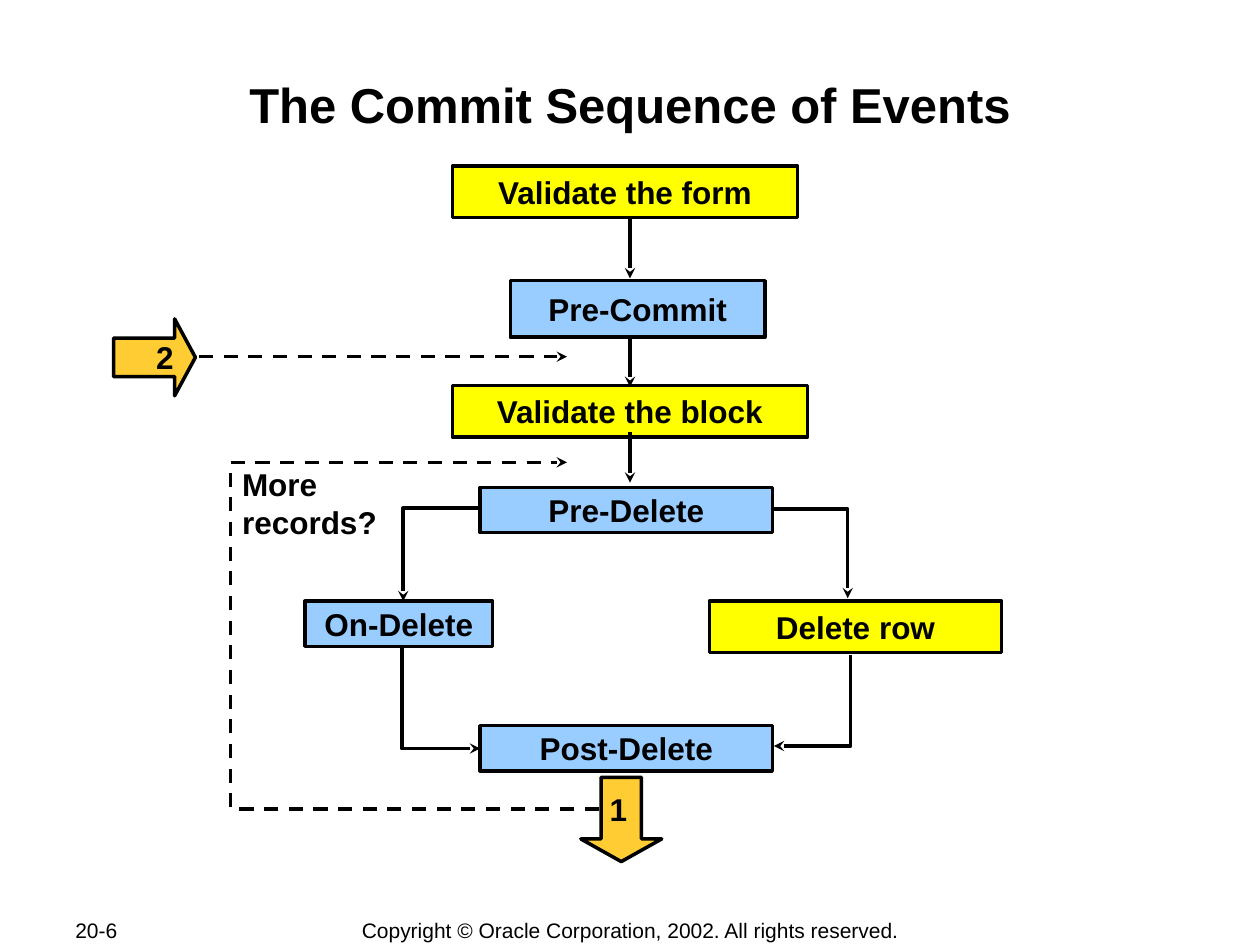
from lxml import etree
from pptx import Presentation
from pptx.dml.color import RGBColor
from pptx.enum.dml import MSO_LINE
from pptx.enum.shapes import MSO_CONNECTOR, MSO_SHAPE
from pptx.enum.text import MSO_ANCHOR, PP_ALIGN
from pptx.oxml.ns import qn
from pptx.util import Cm, Pt

RECTANGLE, RIGHT_ARROW, DOWN_ARROW = MSO_SHAPE.RECTANGLE, MSO_SHAPE.RIGHT_ARROW, MSO_SHAPE.DOWN_ARROW
STRAIGHT = MSO_CONNECTOR.STRAIGHT
DASH = MSO_LINE.DASH
LEFT, CENTER = PP_ALIGN.LEFT, PP_ALIGN.CENTER
TOP, MIDDLE = MSO_ANCHOR.TOP, MSO_ANCHOR.MIDDLE

COLORS = {"ink": "000000", "task": "FFFF00", "trigger": "99CCFF", "marker": "FFCC33"}
INK = RGBColor.from_string(COLORS["ink"])


def write(shape, text, size, bold, align, anchor):
    frame = shape.text_frame
    frame.word_wrap = True
    frame.vertical_anchor = anchor
    frame.margin_left = frame.margin_right = frame.margin_top = frame.margin_bottom = 0
    frame.text = text
    paragraph = frame.paragraphs[0]
    paragraph.alignment = align
    for run in paragraph.runs:
        run.font.name = "Arial"
        run.font.size = Pt(size)
        run.font.bold = bold
        run.font.color.rgb = INK


def outlined(kind, box, color):
    shape = slide.shapes.add_shape(kind, *map(Cm, box))
    shape.shadow.inherit = False
    shape.fill.solid()
    shape.fill.fore_color.rgb = RGBColor.from_string(COLORS[color])
    shape.line.color.rgb = INK
    shape.line.width = Pt(2)
    return shape


prs = Presentation()
prs.slide_width, prs.slide_height = Cm(25.4), Cm(19.05)
slide = prs.slides.add_slide(prs.slide_layouts[6])

steps = [
    ("Validate the form", "task", (9.12, 3.35, 6.96, 1.04)),
    ("Pre-Commit", "trigger", (10.29, 5.66, 5.13, 1.14)),
    ("Validate the block", "task", (9.12, 7.77, 7.16, 1.04)),
    ("Pre-Delete", "trigger", (9.68, 9.83, 5.89, 0.91)),
    ("On-Delete", "trigger", (6.15, 12.12, 3.78, 0.91)),
    ("Delete row", "task", (14.3, 12.12, 5.89, 1.04)),
    ("Post-Delete", "trigger", (9.68, 14.63, 5.89, 0.91)),
]
for name, color, box in steps:
    write(outlined(RECTANGLE, box, color), name, 18, True, CENTER, MIDDLE)

flows = [
    (None, [(12.7, 4.39), (12.7, 5.61)]),
    (None, [(12.7, 6.78), (12.7, 7.8)]),
    (None, [(12.7, 8.71), (12.7, 9.73)]),
    (None, [(9.65, 10.24), (8.13, 10.24), (8.13, 12.12)]),
    (None, [(15.54, 10.26), (17.09, 10.26), (17.09, 12.06)]),
    (None, [(8.1, 13.03), (8.1, 15.09), (9.68, 15.09)]),
    (None, [(17.15, 13.21), (17.15, 15.04), (15.6, 15.04)]),
    (DASH, [(4.01, 7.19), (11.43, 7.19)]),
    (DASH, [(12.07, 16.31), (4.65, 16.31), (4.65, 9.32), (11.43, 9.32)]),
]
for dash, route in flows:
    start, *rest = [(Cm(x), Cm(y)) for x, y in route]
    if len(rest) == 1:
        flow = slide.shapes.add_connector(STRAIGHT, *start, *rest[0])
        etree.SubElement(flow._element.spPr, qn("a:effectLst"))
    else:
        builder = slide.shapes.build_freeform(*start)
        builder.add_line_segments(rest, close=False)
        flow = builder.convert_to_shape()
        flow.shadow.inherit = False
        flow.fill.background()
    flow.line.color.rgb = INK
    flow.line.width = Pt(2)
    if dash:
        flow.line.dash_style = dash
    etree.SubElement(flow.line._get_or_add_ln(), qn("a:tailEnd"), type="stealth")

markers = [
    (DOWN_ARROW, (11.71, 15.67, 1.63, 1.7), 0.28),
    (RIGHT_ARROW, (2.29, 6.43, 1.65, 1.55), 0.27),
]
for kind, box, head in markers:
    marker = outlined(kind, box, "marker")
    marker.adjustments[0] = 0.5
    marker.adjustments[1] = head

labels = [
    ("The Commit Sequence of Events", (2.54, 1.5, 20.32, 2.44), 28, True, CENTER, TOP),
    ("More\vrecords?", (4.88, 9.37, 3.02, 1.52), 18, True, LEFT, TOP),
    ("1", (12.29, 15.93, 0.43, 0.84), 18, True, LEFT, TOP),
    ("2", (3.15, 6.81, 0.43, 0.84), 18, True, LEFT, TOP),
    ("20-6", (1.52, 18.49, 2.44, 0.51), 12, False, LEFT, MIDDLE),
    ("Copyright © Oracle Corporation, 2002. All rights reserved.",
     (7.01, 18.49, 11.4, 0.53), 12, False, CENTER, MIDDLE),
]
for text, box, *style in labels:
    write(slide.shapes.add_textbox(*map(Cm, box)), text, *style)

prs.save("out.pptx")
